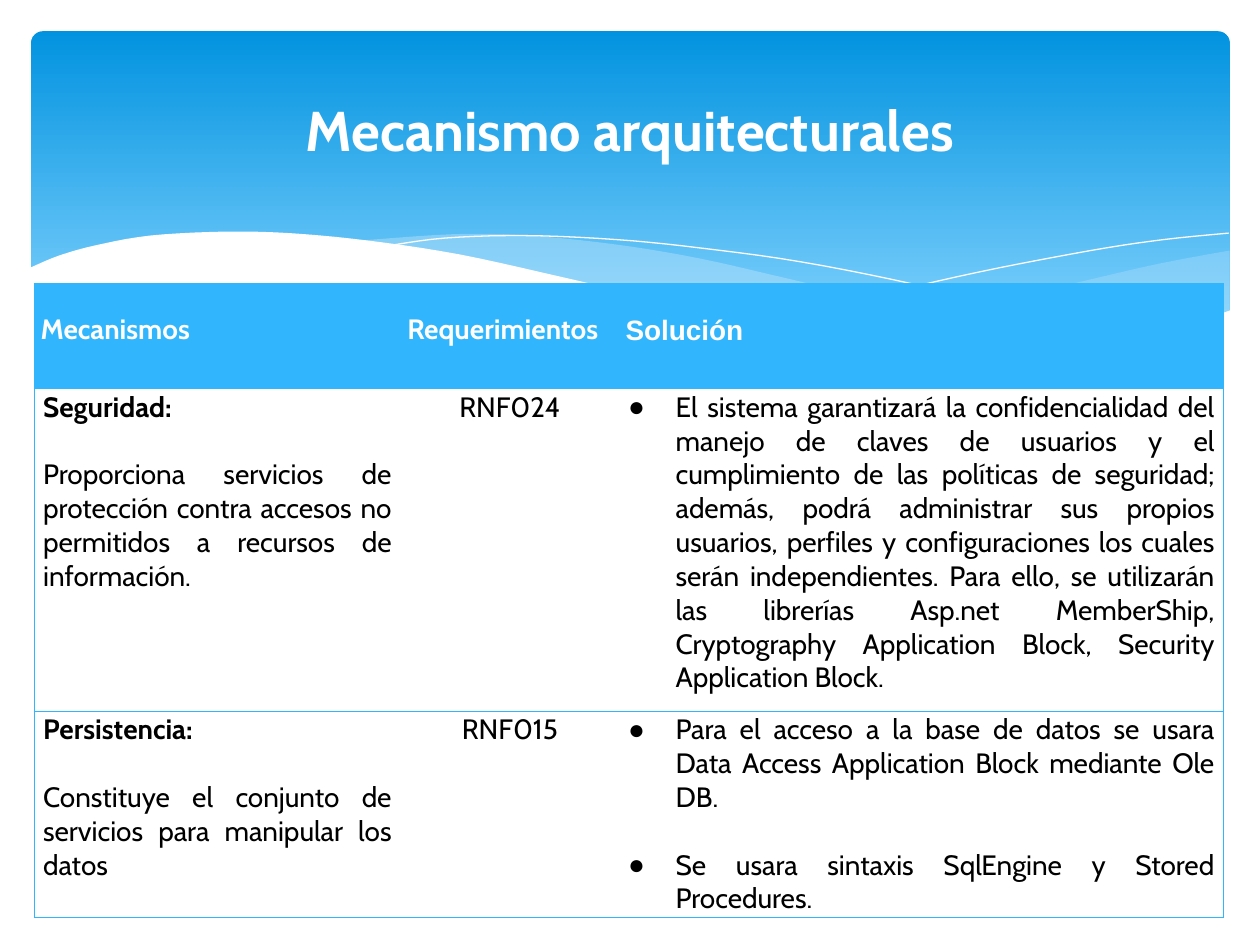
from lxml import etree
from pptx import Presentation, oxml
from pptx.dml.color import RGBColor
from pptx.enum import shapes, text
from pptx.oxml import ns
from pptx.util import Cm, Pt

WHITE = RGBColor(0xFF, 0xFF, 0xFF)
BLACK = RGBColor(0, 0, 0)
DEEP = RGBColor(0x02, 0x93, 0xE0)
SKY = RGBColor(0x83, 0xD3, 0xFE)
PALE = RGBColor(0xC6, 0xE7, 0xFC)
BLUE = RGBColor(0x31, 0xB6, 0xFD)
LEFT, MID, JUST = text.PP_ALIGN.LEFT, text.PP_ALIGN.CENTER, text.PP_ALIGN.JUSTIFY


def smooth(pts, steps=5):
    """Points of a Catmull-Rom curve through pts."""
    ext = [pts[0], *pts, pts[-1]]
    out = [pts[0]]
    for a, b, c, d in zip(ext, ext[1:], ext[2:], ext[3:]):
        for i in range(1, steps + 1):
            t = i / steps
            out.append(tuple(
                (2 * q + (r - p) * t + (2 * p - 5 * q + 4 * r - s) * t ** 2
                 + (3 * q - p - 3 * r + s) * t ** 3) / 2
                for p, q, r, s in zip(a, b, c, d)))
    return out


def write(par, words, size, color, bold, font="Cabin"):
    run = par.add_run()
    run.text = words
    run.font.name, run.font.size = font, Pt(size)
    run.font.bold, run.font.color.rgb = bold, color


prs = Presentation()
prs.slide_width, prs.slide_height = Cm(25.4), Cm(19.05)
slide = prs.slides.add_slide(prs.slide_layouts[6])

# Header panel
panel = slide.shapes.add_shape(shapes.MSO_SHAPE.ROUNDED_RECTANGLE,
                               Cm(0.63), Cm(0.63), Cm(24.16), Cm(6.86))
panel.adjustments[0] = 0.034
panel.shadow.inherit = False
panel.line.fill.background()
panel.fill.gradient()
panel.fill.gradient_angle = 270
for stop, color, pos in zip(panel.fill.gradient_stops, (DEEP, SKY), (0, 0.9)):
    stop.color.rgb, stop.position = color, pos

# Waves: curved edges, straight corners, fill, opacity in percent
waves = [
    ([[(24.79, 5.05), (23.39, 5.31), (21.87, 5.66), (19.79, 6.15), (17.93, 6.53),
       (16.79, 6.73)],
      [(16.79, 6.73), (18.24, 6.91), (19.53, 7.04), (20.93, 7.04), (22.38, 6.93),
       (23.57, 6.68), (24.79, 6.27)]], [], PALE, 29),
    ([[(22.68, 6.93), (21.26, 6.73), (18.82, 6.3), (15.98, 5.64), (14.1, 5.21),
       (12.42, 4.93), (10.67, 4.75), (9.17, 4.72), (7.26, 4.85)],
      [(7.26, 4.85), (9.19, 5.16), (11.4, 5.64), (13.46, 6.1), (15.7, 6.55),
       (17.65, 6.86), (19.33, 7.04), (21.03, 7.06), (22.68, 6.93)]], [], PALE, 40),
    ([[(7.85, 4.95), (8.97, 4.8), (10.57, 4.75), (12.42, 4.83), (14.12, 5),
       (16.15, 5.28), (18.47, 5.74), (21.11, 6.38), (23.04, 6.91)]], [], None, 100),
    ([[(15.57, 6.53), (17.65, 5.97), (19.71, 5.49), (22, 5.05), (23.47, 4.83),
       (24.77, 4.7)]], [], None, 100),
    ([[(24.82, 6.25), (23.62, 6.65), (22.23, 6.93), (20.55, 7.04), (18.44, 6.91),
       (15.9, 6.55), (13.44, 6.07), (11.35, 5.59), (9.27, 5.13), (7.42, 4.85),
       (5.84, 4.7), (4.5, 4.67), (3.02, 4.75), (1.91, 4.95), (1.17, 5.16),
       (0.58, 5.41)]], [(0.58, 8.36), (24.82, 8.36)], WHITE, 100),
]
for edges, corners, color, alpha in waves:
    pts = [(Cm(x), Cm(y)) for x, y in sum(map(smooth, edges), []) + corners]
    form = slide.shapes.build_freeform(*pts[0])
    form.add_line_segments(pts[1:], close=color is not None)
    wave = form.convert_to_shape()
    wave.shadow.inherit = False
    if color is None:
        wave.fill.background()
        wave.line.color.rgb, wave.line.width = WHITE, Pt(0)
        continue
    wave.line.fill.background()
    wave.fill.solid()
    wave.fill.fore_color.rgb = color
    if alpha < 100:
        tint = wave.fill._xPr.find(".//" + ns.qn("a:srgbClr"))
        etree.SubElement(tint, ns.qn("a:alpha"), val=str(alpha * 1000))

# Title
title = slide.shapes.add_textbox(Cm(1.27), Cm(0.94), Cm(22.86), Cm(3.48)).text_frame
title.word_wrap = True
title.vertical_anchor = text.MSO_ANCHOR.MIDDLE
par = title.paragraphs[0]
par.alignment, par.line_spacing = MID, 0.9
write(par, "Mecanismo arquitecturales", 32, WHITE, True)

# Table: each cell is a list of paragraphs
rows = [
    [["Mecanismos"], ["Requerimientos"], ["Solución"]],
    [["Seguridad:",
      "Proporciona servicios de protección contra accesos no permitidos a recursos "
      "de información."],
     ["RNF024"],
     ["El sistema garantizará la confidencialidad del manejo de claves de usuarios y "
      "el cumplimiento de las políticas de seguridad; además, podrá administrar sus "
      "propios usuarios, perfiles y configuraciones los cuales serán independientes. "
      "Para ello, se utilizarán las librerías Asp.net MemberShip, Cryptography "
      "Application Block, Security Application Block."]],
    [["Persistencia:", "Constituye el conjunto de servicios para manipular los datos"],
     ["RNF015"],
     ["Para el acceso a la base de datos se usara Data Access Application Block "
      "mediante Ole DB.",
      "Se usara sintaxis SqlEngine y Stored Procedures."]],
]
table = slide.shapes.add_table(3, 3, Cm(0.69), Cm(5.72), Cm(23.98), Cm(12.78)).table
table.first_row = table.horz_banding = False
for col, wide in zip(table.columns, (7.39, 4.4, 12.19)):
    col.width = Cm(wide)
for row, high in zip(table.rows, (2.12, 6.5, 4.16)):
    row.height = Cm(high)

for i, row in enumerate(rows):
    for j, items in enumerate(row):
        cell = table.cell(i, j)
        head = i == 0
        cell.margin_left = cell.margin_right = Cm(0.13 if head else 0.18)
        cell.margin_top = cell.margin_bottom = Cm(0 if head else 0.03)
        cell.vertical_anchor = text.MSO_ANCHOR.MIDDLE if head else text.MSO_ANCHOR.TOP
        props = cell._tc.get_or_add_tcPr()
        for side, shown in (("L", j == 0), ("R", j == 2), ("T", True), ("B", True)):
            paint = (f'<a:solidFill><a:srgbClr val="{BLUE}"/></a:solidFill>'
                     if shown else "<a:noFill/>")
            props.append(oxml.parse_xml(
                f'<a:ln{side} {ns.nsdecls("a")} w="{Pt(0.75)}">{paint}</a:ln{side}>'))
        if head:
            cell.fill.solid()
            cell.fill.fore_color.rgb = BLUE
        else:
            cell.fill.background()

        frame = cell.text_frame
        for k, words in enumerate(items):
            par = frame.add_paragraph() if k else frame.paragraphs[0]
            if head:
                par.line_spacing = Pt(12)
                write(par, words, 16, WHITE, True, "Arial" if j == 2 else "Cabin")
                continue
            par.alignment = MID if j == 1 else JUST if j == 2 or k else LEFT
            if k:
                par.space_before = Pt(19.3)
            if j == 2:
                ppr = par._p.get_or_add_pPr()
                ppr.set("marL", str(Cm(0.96)))
                ppr.set("indent", str(-Cm(0.96)))
                tint = etree.SubElement(ppr, ns.qn("a:buClr"))
                etree.SubElement(tint, ns.qn("a:srgbClr"), val=str(BLACK))
                etree.SubElement(ppr, ns.qn("a:buFont"), typeface="Arial")
                etree.SubElement(ppr, ns.qn("a:buChar"), char="●")
            write(par, words, 16, BLACK, j == 0 and k == 0)

prs.save("out.pptx")
